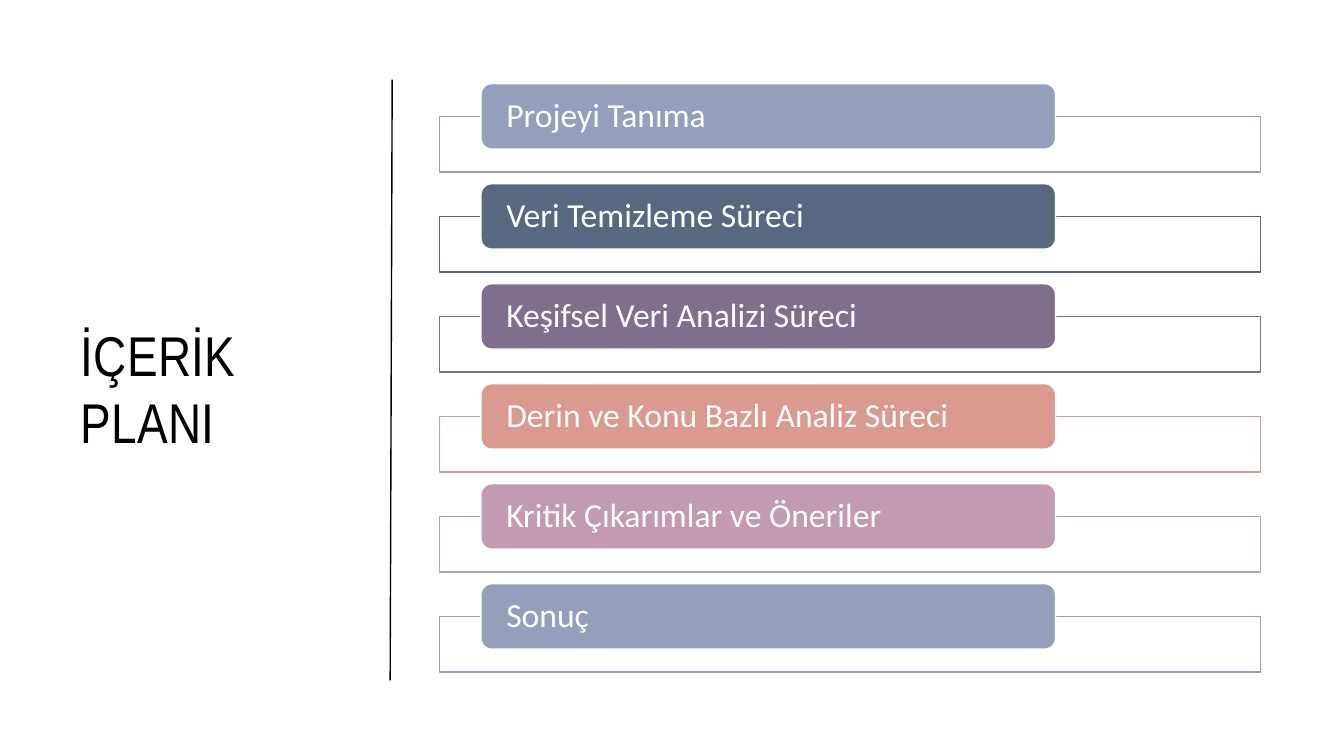
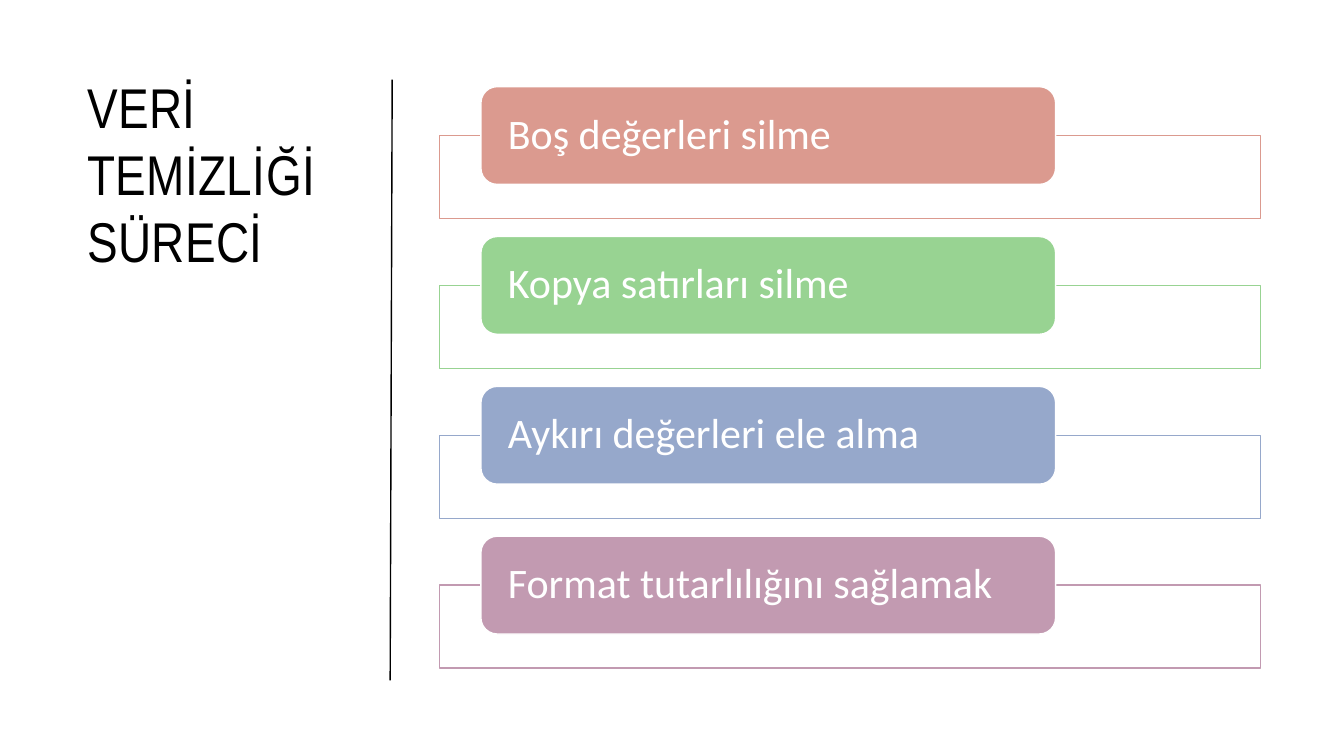
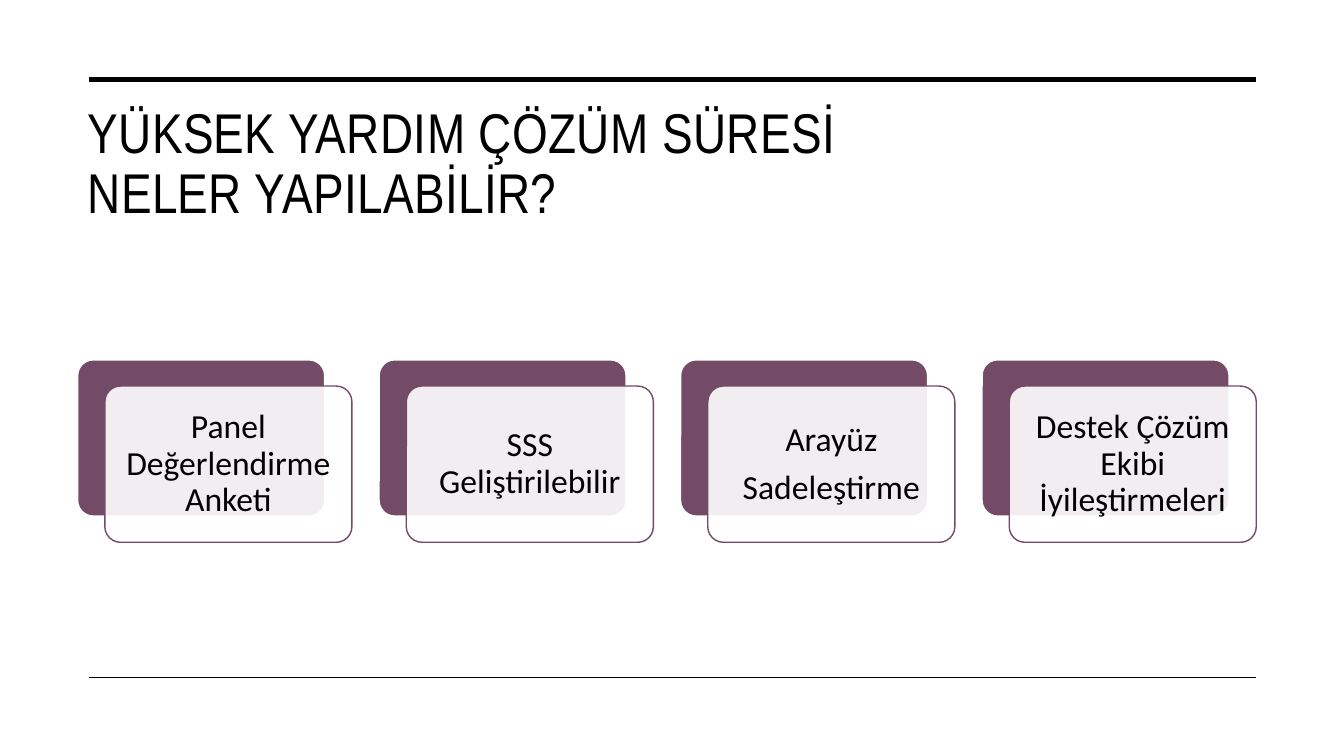
from lxml import etree
from pptx import Presentation
from pptx.dml.color import RGBColor
from pptx.enum.shapes import MSO_CONNECTOR, MSO_SHAPE
from pptx.enum.text import MSO_ANCHOR, PP_ALIGN
from pptx.oxml.ns import qn
from pptx.util import Inches, Pt

BLACK, WHITE = "000000", "FFFFFF"
LAVENDER, SLATE, PURPLE = "959EBB", "596781", "7F6E8C"
CORAL, PINK, GREEN, BLUE, PLUM = "DB9A8F", "C29AB1", "98D392", "96A8CB", "734B67"
TITLE_FONT, BODY_FONT = "Arial Narrow", "Calibri"

# Each list slide: title, title box, label size, label height, first and last label top
LIST_SLIDES = [
    {
        "title": ["İÇERİK PLANI"], "title_box": (0.7, 3.13, 2.76, 4.91),
        "size": 24, "height": 0.65, "first": 0.83, "last": 5.79,
        "rows": [
            ("Projeyi Tanıma", LAVENDER),
            ("Veri Temizleme Süreci", SLATE),
            ("Keşifsel Veri Analizi Süreci", PURPLE),
            ("Derin ve Konu Bazlı Analiz Süreci", CORAL),
            ("Kritik Çıkarımlar ve Öneriler", PINK),
            ("Sonuç", LAVENDER),
        ],
    },
    {
        "title": ["VERİ TEMİZLİĞİ SÜRECİ"], "title_box": (0.77, 0.67, 2.76, 4.91),
        "size": 30, "height": 0.97, "first": 0.86, "last": 5.32,
        "rows": [
            ("Boş değerleri silme", CORAL),
            ("Kopya satırları silme", GREEN),
            ("Aykırı değerleri ele alma", BLUE),
            ("Format tutarlılığını sağlamak", PINK),
        ],
    },
]
CARD_TITLE = ["YÜKSEK YARDIM ÇÖZÜM SÜRESİ", "NELER YAPILABİLİR?"]
CARDS = [
    ["Panel Değerlendirme Anketi"],
    ["SSS Geliştirilebilir"],
    ["Arayüz", "Sadeleştirme"],
    ["Destek Çözüm Ekibi İyileştirmeleri"],
]


def color(hex_code):
    return RGBColor.from_string(hex_code)


def add_title(slide, lines, box, line_spacing=1.0):
    frame = slide.shapes.add_textbox(*map(Inches, box)).text_frame
    frame.word_wrap = True
    paragraph = frame.paragraphs[0]
    paragraph.line_spacing = line_spacing
    for index, line in enumerate(lines):
        if index:
            paragraph.add_line_break()
        run = paragraph.add_run()
        run.text = line
        run.font.name, run.font.size = TITLE_FONT, Pt(40)
        run.font.color.rgb = color(BLACK)
        run._r.get_or_add_rPr().set("spc", "30")


def add_line(slide, start, end, width):
    line = slide.shapes.add_connector(
        MSO_CONNECTOR.STRAIGHT, *map(Inches, (*start, *end)))
    line.line.color.rgb = color(BLACK)
    line.line.width = Pt(width)
    etree.SubElement(line._element.spPr, qn("a:effectLst"))


def add_box(slide, kind, box, fill, outline, opacity=100):
    shape = slide.shapes.add_shape(kind, *map(Inches, box))
    shape.shadow.inherit = False
    shape.fill.solid()
    shape.fill.fore_color.rgb = color(fill)
    shape.line.color.rgb = color(outline)
    shape.line.width = Pt(1)
    if opacity < 100:
        fill_color = shape._element.spPr.find(qn("a:solidFill"))[0]
        etree.SubElement(fill_color, qn("a:alpha"), val=str(opacity * 1000))
    return shape


def write(shape, lines, size, text_color, align, insets):
    """Fill a shape with one paragraph per line, centred vertically."""
    frame = shape.text_frame
    frame.word_wrap = True
    frame.vertical_anchor = MSO_ANCHOR.MIDDLE
    horizontal, vertical = map(Inches, insets)
    frame.margin_left = frame.margin_right = horizontal
    frame.margin_top = frame.margin_bottom = vertical
    for index, line in enumerate(lines):
        paragraph = frame.add_paragraph() if index else frame.paragraphs[0]
        paragraph.alignment = align
        paragraph.line_spacing = 0.9
        paragraph.space_after = Pt(0.35 * size)
        run = paragraph.add_run()
        run.text = line
        run.font.name, run.font.size = BODY_FONT, Pt(size)
        run.font.color.rgb = color(text_color)


def build_list_slide(slide, content):
    add_title(slide, content["title"], content["title_box"])
    add_line(slide, (3.87, 6.75), (3.89, 0.79), 1)
    rows, height = content["rows"], content["height"]
    pitch = (content["last"] - content["first"]) / (len(rows) - 1)
    for index, (text, accent) in enumerate(rows):
        top = content["first"] + index * pitch
        add_box(slide, MSO_SHAPE.RECTANGLE,
                (4.36, top + height / 2, 8.14, 0.85 * height), WHITE, accent, 90)
        label = add_box(slide, MSO_SHAPE.ROUNDED_RECTANGLE,
                        (4.77, top, 5.7, height), accent, WHITE)
        write(label, [text], content["size"], WHITE, PP_ALIGN.LEFT, (0.22, 0))


def build_card_slide(slide):
    for y, width in ((0.79, 3.5), (6.72, 1)):
        add_line(slide, (0.88, y), (12.46, y), width)
    add_title(slide, CARD_TITLE, (0.77, 0.99, 11.69, 1.26), 0.9)
    left, top, width, height, pitch = 0.77, 3.57, 2.45, 1.55, 2.99
    for index, lines in enumerate(CARDS):
        x = left + index * pitch
        back = add_box(slide, MSO_SHAPE.ROUNDED_RECTANGLE,
                       (x, top, width, height), PLUM, WHITE)
        front = add_box(slide, MSO_SHAPE.ROUNDED_RECTANGLE,
                        (x + 0.27, top + 0.26, width, height), WHITE, PLUM, 90)
        back.adjustments[0] = front.adjustments[0] = 0.1
        write(front, lines, 24, BLACK, PP_ALIGN.CENTER, (0.1, 0.1))


def main():
    presentation = Presentation()
    presentation.slide_width, presentation.slide_height = Inches(13.33), Inches(7.5)
    blank = presentation.slide_layouts[6]
    for content in LIST_SLIDES:
        build_list_slide(presentation.slides.add_slide(blank), content)
    build_card_slide(presentation.slides.add_slide(blank))
    presentation.save("out.pptx")


if __name__ == "__main__":
    main()
